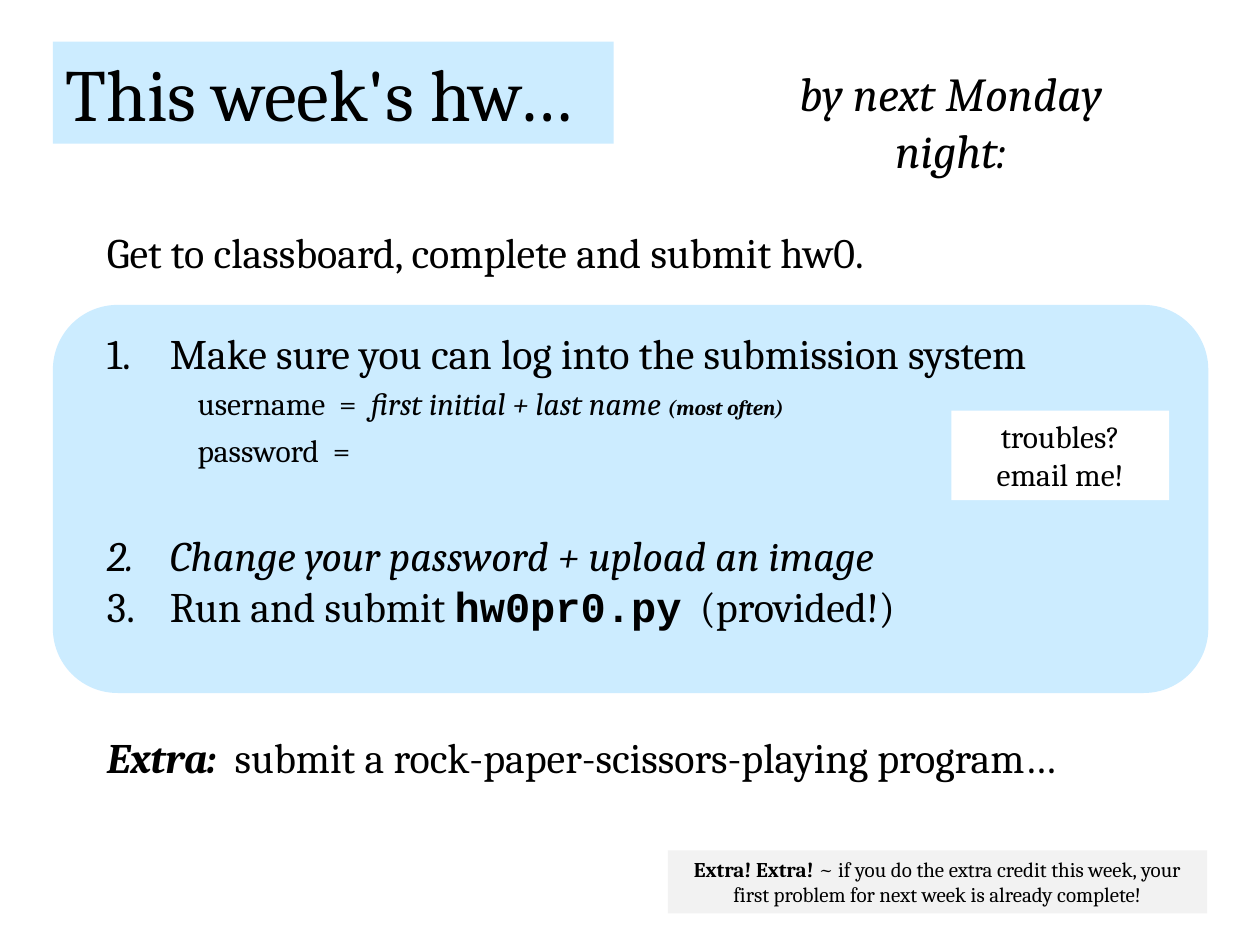
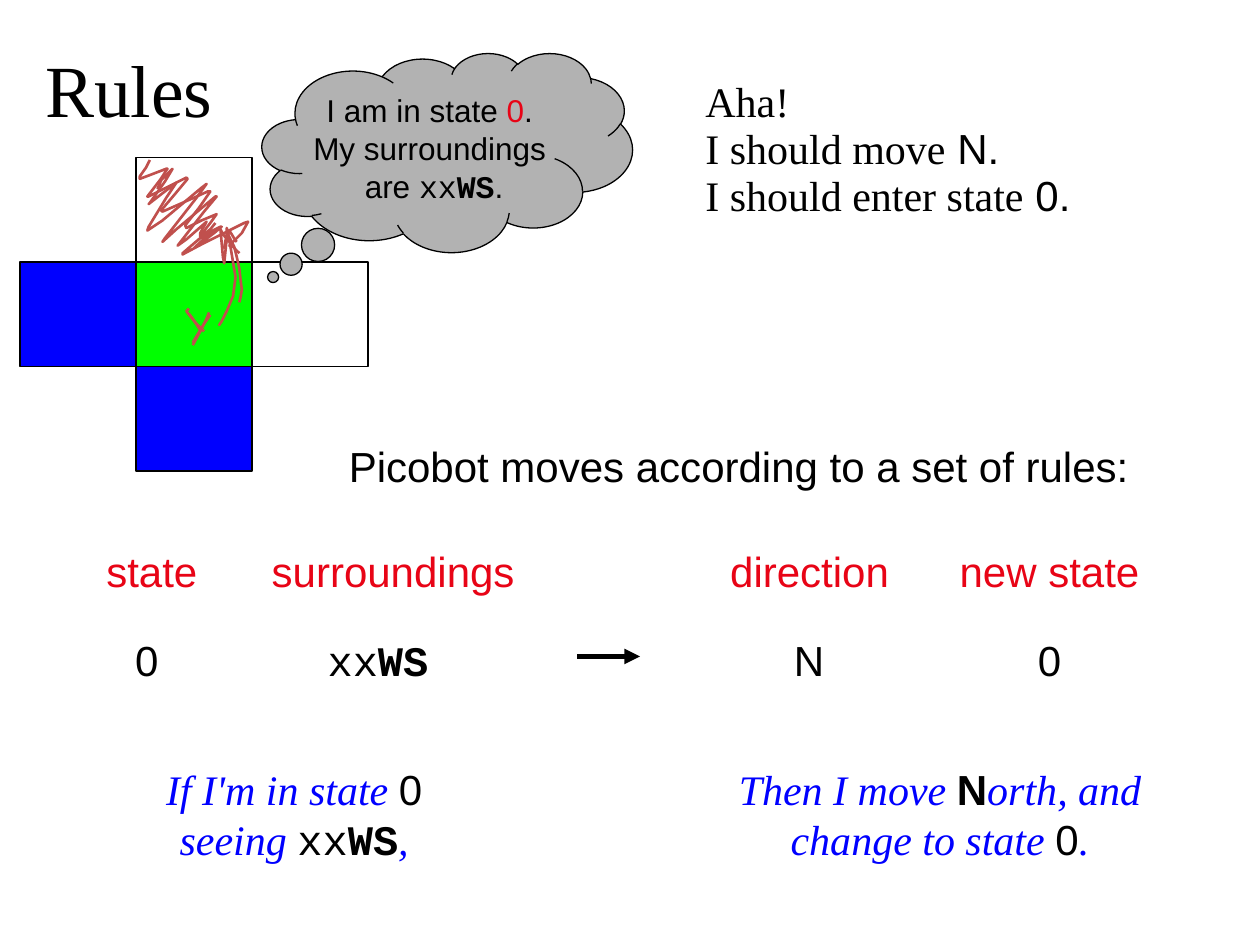
import dataclasses

import pptx
import pptx.dml.color
import pptx.enum.shapes
import pptx.enum.text
import pptx.oxml.ns
import pptx.util
from lxml import etree

SHAPES = pptx.enum.shapes.MSO_SHAPE
ANCHOR = pptx.enum.text.MSO_ANCHOR
LEFT = pptx.enum.text.PP_ALIGN.LEFT
CENTER = pptx.enum.text.PP_ALIGN.CENTER
SCALE = 9144  # EMU in one px, with 100 px to the inch


@dataclasses.dataclass(frozen=True)
class Theme:
    black: str = "000000"
    white: str = "FFFFFF"
    sky: str = "CCECFF"
    pale_gray: str = "F2F2F2"
    cloud_gray: str = "B2B2B2"
    green: str = "00FF00"
    blue: str = "0000FF"
    red: str = "E80416"
    ink: str = "C0504D"
    book: str = "Cambria"
    serif: str = "Times New Roman"
    sans: str = "Arial"
    code: str = "Courier New"
    title: int = 42
    due: int = 27
    body: int = 24
    detail: int = 18
    note: int = 12
    thin: float = 0.75
    pen: float = 1.5
    arrow: float = 3
    blank_line: float = 28.9


THEME = Theme()


def px(value):
    return round(value * SCALE)


def rgb(value):
    return pptx.dml.color.RGBColor.from_string(value)


def add_xml(parent, tag, **attributes):
    return etree.SubElement(parent, pptx.oxml.ns.qn(tag), attributes)


def set_all(target, values):
    for name, value in values.items():
        setattr(target, name, value)


def style(font=THEME.book, size=THEME.body, color=THEME.black, bold=False, italic=False):
    return dict(name=font, size=pptx.util.Pt(size), color=color, bold=bold, italic=italic)


def para(*spans, number=False, **layout):
    """A paragraph: (text, style changes) spans, numbering, and paragraph attributes."""
    return spans, number, layout


class Page:
    def __init__(self, deck, theme):
        self.theme = theme
        self.slide = deck.slides.add_slide(deck.slide_layouts[6])
        self.shapes = self.slide.shapes

    def paint(self, shape, fill=None, line=None, width=THEME.thin):
        shape.shadow.inherit = False
        if fill:
            shape.fill.solid()
            shape.fill.fore_color.rgb = rgb(fill)
        else:
            shape.fill.background()
        if line:
            shape.line.color.rgb = rgb(line)
            shape.line.width = pptx.util.Pt(width)
        else:
            shape.line.fill.background()

    def shape(self, at, kind=SHAPES.RECTANGLE, **look):
        shape = self.shapes.add_shape(kind, *map(px, at))
        self.paint(shape, **look)
        return shape

    def fill_text(self, frame, paras, base, align=LEFT, **frame_values):
        set_all(frame, {"word_wrap": True, "vertical_anchor": ANCHOR.TOP, **frame_values})
        for index, (spans, number, layout) in enumerate(paras):
            paragraph = frame.paragraphs[0] if index == 0 else frame.add_paragraph()
            if number:
                props = paragraph._p.get_or_add_pPr()
                props.set("marL", str(px(50)))
                props.set("indent", str(px(-50)))
                add_xml(props, "a:buFont", typeface="+mj-lt")
                add_xml(props, "a:buAutoNum", type="arabicPeriod")
            set_all(paragraph, {"alignment": align, **layout})
            for text, changes in spans:
                run = paragraph.add_run()
                run.text = text
                look = {**base, **changes}
                run.font.color.rgb = rgb(look.pop("color"))
                set_all(run.font, look)

    def text(self, at, paras, base, align=LEFT, fill=None, **frame_values):
        """A text box, or a filled rectangle with text; a plain string is one paragraph."""
        if isinstance(paras, str):
            paras = [para((paras, {}))]
        box = self.shape(at, fill=fill) if fill else self.shapes.add_textbox(*map(px, at))
        self.fill_text(box.text_frame, paras, base, align, **frame_values)

    def arrow(self, start, end):
        line = self.shapes.add_connector(
            pptx.enum.shapes.MSO_CONNECTOR.STRAIGHT, *map(px, start + end))
        line.line.color.rgb = rgb(self.theme.black)
        line.line.width = pptx.util.Pt(self.theme.arrow)
        add_xml(line.line._get_or_add_ln(), "a:tailEnd", type="triangle")
        add_xml(line._element.spPr, "a:effectLst")

    def ink(self, strokes):
        """Open pen strokes, each a string of x y pairs in px."""
        paths = []
        for stroke in strokes:
            numbers = [int(number) for number in stroke.split()]
            paths.append(list(zip(numbers[::2], numbers[1::2])))
        builder = self.shapes.build_freeform(*paths[0][0], scale=SCALE)
        for index, points in enumerate(paths):
            if index:
                builder.move_to(*points[0])
            builder.add_line_segments(points[1:], close=False)
        self.paint(builder.convert_to_shape(), line=self.theme.ink, width=self.theme.pen)


INK_DRAWINGS = [
    ["190 240 191 236 192 230 191 222 190 213 188 204 186 196 182 188 181 187 178 197 "
     "179 191 182 183 184 186 187 191 188 192",
     "119 127 116 133 111 140 111 142 119 139 132 134 133 134 127 143 117 156 118 156 "
     "148 141 149 142 139 154 128 167 129 168 145 161 165 152 167 152 158 165 147 179 "
     "148 181 160 175 172 170 167 177 160 186 169 183 175 180 176 180 170 185 154 197 "
     "168 184 159 189 145 201 145 202 160 194 194 177 197 176 192 185 182 195 185 193"],
    ["150 249 153 253 157 259 159 262",
     "167 250 162 257 153 272"],
    ["176 255 174 258 176 255 180 247 185 235 187 220 181 184 180 181 180 189 178 209 "
     "177 204 175 182 177 186 187 198 190 201",
     "125 150 128 143 136 135 137 134 131 144 119 161 118 162 127 155 140 145 132 157 "
     "118 180 117 183 129 175 160 149 164 146 156 157 131 189 129 192 140 182 171 156 "
     "172 156 162 168 141 195 148 190 164 176 159 185 159 188 167 182 171 177",
     "150 245 148 247 151 251 156 257 161 262 162 263",
     "166 248 164 253 159 263 153 274"],
]


def build_homework(deck, theme):
    page = Page(deck, theme)
    detail = style(size=theme.detail)
    page.shape((42, 242, 917, 308), SHAPES.ROUNDED_RECTANGLE, fill=theme.sky)
    page.text((42, 33, 445, 81), "This week's hw…", style(size=theme.title), fill=theme.sky)
    page.text((595, 46, 319, 101), "by next Monday night:",
              style(size=theme.due, italic=True), CENTER)

    def gap(lines):
        return pptx.util.Pt(lines * theme.blank_line)

    page.text((75, 175, 815, 454), [
        para(("Get to classboard, complete and submit hw0.", {})),
        para(("Make sure you can log into the submission system", {}),
             number=True, space_before=gap(1)),
        para(("Change your password + upload an image", {"italic": True}),
             number=True, space_before=gap(3)),
        para(("Run and submit ", {}), ("hw0pr0.py", {"name": theme.code, "bold": True}),
             ("  (provided!)", {}), number=True),
        para(("Extra:  ", {"bold": True, "italic": True}),
             ("submit a rock-paper-scissors-playing program…", {}), space_before=gap(2)),
    ], style())
    page.text((147, 300, 578, 40), [para(
        ("username  =  ", {}), ("first initial + last name ", {"italic": True}),
        ("(most often)", {"italic": True, "bold": True, "size": pptx.util.Pt(theme.note)}),
    )], detail)
    page.text((147, 337, 163, 40), "password  =", detail)
    page.text((755, 326, 173, 71), "troubles? email me!", detail, CENTER, fill=theme.white)
    page.text((530, 675, 428, 50), [para(
        ("Extra! Extra!", {"bold": True}),
        (" ~ if you do the extra credit this week, your first problem for next week "
         "is already complete!", {}),
    )], style(size=theme.note), CENTER, fill=theme.pale_gray)


def build_rules(deck, theme):
    page = Page(deck, theme)
    plain = style(theme.sans)
    heading = style(theme.sans, color=theme.red)
    speech = style(theme.serif)
    meaning = style(theme.serif, color=theme.blue, italic=True)
    value = {"name": theme.sans, "color": theme.black, "italic": False}
    code = {**value, "name": theme.code}
    wall_code = {**code, "bold": True}
    low = {"margin_top": px(8)}

    page.text((26, 24, 325, 80), "Rules", style(theme.serif, theme.title), margin_top=px(11))
    page.text((267, 342, 667, 50), "Picobot moves according to a set of rules:", plain, **low)

    cell_width, cell_height = 92, 83
    cells = [(0, 0, theme.green), (-1, 0, theme.blue), (0, -1, None),
             (0, 1, theme.blue), (1, 0, None)]
    for column, row, fill in cells:
        page.shape((108 + column * cell_width, 208 + row * cell_height,
                    cell_width, cell_height), fill=fill, line=theme.black)

    cloud = page.shape((208, 42, 294, 158), SHAPES.CLOUD_CALLOUT,
                       fill=theme.cloud_gray, line=theme.black)
    cloud.adjustments[0], cloud.adjustments[1] = -0.47, 0.626
    page.fill_text(cloud.text_frame, [
        para(("I am in state ", {}), ("0", {"color": theme.red}), (". ", {})),
        para(("My surroundings ", {})),
        para(("are ", {}), ("xx", code), ("WS", wall_code), (".", {})),
    ], style(theme.sans, theme.detail), CENTER, word_wrap=False, vertical_anchor=ANCHOR.MIDDLE)

    for label, left, width in [("state", 45, 151), ("surroundings", 183, 258),
                               ("direction", 567, 151), ("new state", 733, 200)]:
        page.text((left, 425, width, 50), label, heading, CENTER, **low)
    surroundings = [para(("xx", code), ("WS", wall_code))]
    for entry, left, width in [("0", 75, 83), (surroundings, 225, 150),
                               ("N", 567, 150), ("0", 758, 150)]:
        page.text((left, 496, width, 50), entry, plain, CENTER, **low)
    page.arrow((458, 521), (508, 521))

    page.text((121, 598, 225, 90), [para(
        ("If I'm in state ", {}), ("0", value), (" seeing ", {}),
        ("xx", code), ("WS", wall_code), (",", {}),
    )], meaning, CENTER, **low)
    page.text((575, 598, 342, 90), [para(
        ("Then I move ", {}), ("N", {**value, "bold": True}),
        ("orth, and change to state ", {}), ("0", value), (".", {}),
    )], meaning, CENTER, **low)

    tight = {"line_spacing": 0.5}
    spaced = {**tight, "space_before": pptx.util.Pt(12.5)}
    page.text((550, 67, 336, 110), [
        para(("Aha!", {}), **tight),
        para(("I should move", {}), (" N.", value), **spaced),
        para(("I should enter state", {}), (" 0.", value), **spaced),
    ], speech, margin_top=px(10))

    for strokes in INK_DRAWINGS:
        page.ink(strokes)


def main():
    deck = pptx.Presentation()
    set_all(deck, {"slide_width": px(1000), "slide_height": px(750)})
    build_homework(deck, THEME)
    build_rules(deck, THEME)
    deck.save("out.pptx")


if __name__ == "__main__":
    main()
